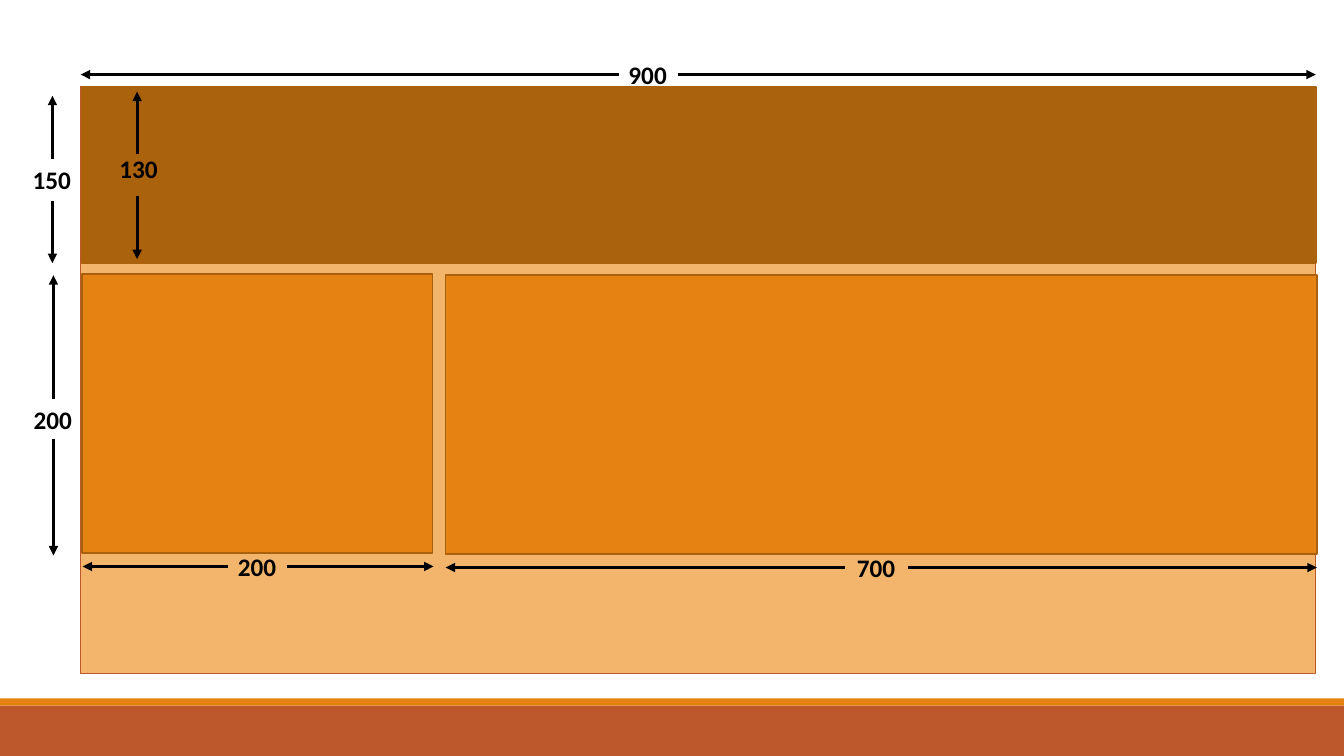
from dataclasses import dataclass

from lxml import etree
from pptx import Presentation
from pptx import util as u
from pptx.dml.color import RGBColor
from pptx.enum import shapes, text
from pptx.oxml.ns import qn

# The page is a grid of 13.33 columns by 7.5 rows
COLUMNS, ROWS = 13.33, 7.5
PAGE_WIDTH, PAGE_HEIGHT = u.Inches(13.33), u.Inches(7.5)
LABEL_WIDTH, LABEL_HEIGHT = 0.59, 0.4
BLACK = "000000"


@dataclass
class Panel:
    left: float
    top: float
    width: float
    height: float
    fill: str
    line: str = ""
    weight: float = 1.25


@dataclass
class Dimension:
    """A measure along an axis, broken by a gap that holds its label."""
    label: str
    axis: float
    start: float
    gap_start: float
    gap_end: float
    end: float
    vertical: bool = False
    shift_x: float = 0
    shift_y: float = 0


PANELS = [
    # Footer bands
    Panel(0, 7, COLUMNS, 0.5, "BD582C"),
    Panel(0, 6.93, COLUMNS, 0.07, "E48312"),
    # Page area, header, side column and content
    Panel(0.8, 0.86, 12.25, 5.82, "F3B56C", "BD582C", 1),
    Panel(0.81, 0.86, 12.24, 1.75, "AB620D", "AB620D"),
    Panel(0.81, 2.72, 3.48, 2.77, "E48312", "A9610D"),
    Panel(4.42, 2.73, 8.64, 2.77, "E48312", "A9610D"),
]

DIMENSIONS = [
    Dimension("900", 0.74, 0.8, 6.14, 6.72, 13.05),
    Dimension("700", 5.63, 4.42, 8.38, 9.01, 13.06),
    Dimension("200", 5.62, 0.82, 2.26, 2.85, 4.3),
    Dimension("150", 0.52, 0.95, 1.58, 1.99, 2.61, vertical=True),
    Dimension("130", 1.36, 0.91, 1.53, 1.94, 2.57, vertical=True,
              shift_x=0.02, shift_y=-0.06),
    Dimension("200", 0.53, 2.73, 3.96, 4.36, 5.51, vertical=True),
]


def across(columns: float) -> int:
    return round(PAGE_WIDTH * columns / COLUMNS)


def down(rows: float) -> int:
    return round(PAGE_HEIGHT * rows / ROWS)


def color(value: str) -> RGBColor:
    return RGBColor.from_string(value)


def draw_panel(page, panel: Panel) -> None:
    shape = page.shapes.add_shape(
        shapes.MSO_SHAPE.RECTANGLE, across(panel.left), down(panel.top),
        across(panel.width), down(panel.height))
    shape.shadow.inherit = False
    shape.fill.solid()
    shape.fill.fore_color.rgb = color(panel.fill)
    if panel.line:
        shape.line.color.rgb = color(panel.line)
        shape.line.width = u.Pt(panel.weight)
    else:
        shape.line.fill.background()


def draw_arrow(page, axis: float, begin: float, tip: float, vertical: bool) -> None:
    ends = [(axis, begin), (axis, tip)] if vertical else [(begin, axis), (tip, axis)]
    points = [length for x, y in ends for length in (across(x), down(y))]
    arrow = page.shapes.add_connector(shapes.MSO_CONNECTOR.STRAIGHT, *points)
    arrow.line.color.rgb = color(BLACK)
    arrow.line.width = u.Pt(2.25)
    etree.SubElement(arrow.line._get_or_add_ln(), qn("a:tailEnd"), type="triangle")
    etree.SubElement(arrow._element.spPr, qn("a:effectLst"))


def draw_label(page, label: str, center_x: float, center_y: float) -> None:
    box = page.shapes.add_textbox(
        across(center_x - LABEL_WIDTH / 2), down(center_y - LABEL_HEIGHT / 2),
        across(LABEL_WIDTH), down(LABEL_HEIGHT))
    frame = box.text_frame
    frame.word_wrap = False
    frame.auto_size = text.MSO_AUTO_SIZE.SHAPE_TO_FIT_TEXT
    para = frame.paragraphs[0]
    para.text = label
    para.font.name = "Calibri"
    para.font.size = u.Pt(18)
    para.font.bold = True
    para.font.color.rgb = color(BLACK)


def draw_dimension(page, item: Dimension) -> None:
    draw_arrow(page, item.axis, item.gap_start, item.start, item.vertical)
    draw_arrow(page, item.axis, item.gap_end, item.end, item.vertical)
    middle = (item.gap_start + item.gap_end) / 2
    x, y = (item.axis, middle) if item.vertical else (middle, item.axis)
    draw_label(page, item.label, x + item.shift_x, y + item.shift_y)


def main() -> None:
    deck = Presentation()
    deck.slide_width, deck.slide_height = PAGE_WIDTH, PAGE_HEIGHT
    page = deck.slides.add_slide(deck.slide_layouts[6])
    for panel in PANELS:
        draw_panel(page, panel)
    for item in DIMENSIONS:
        draw_dimension(page, item)
    deck.save("out.pptx")


if __name__ == "__main__":
    main()
